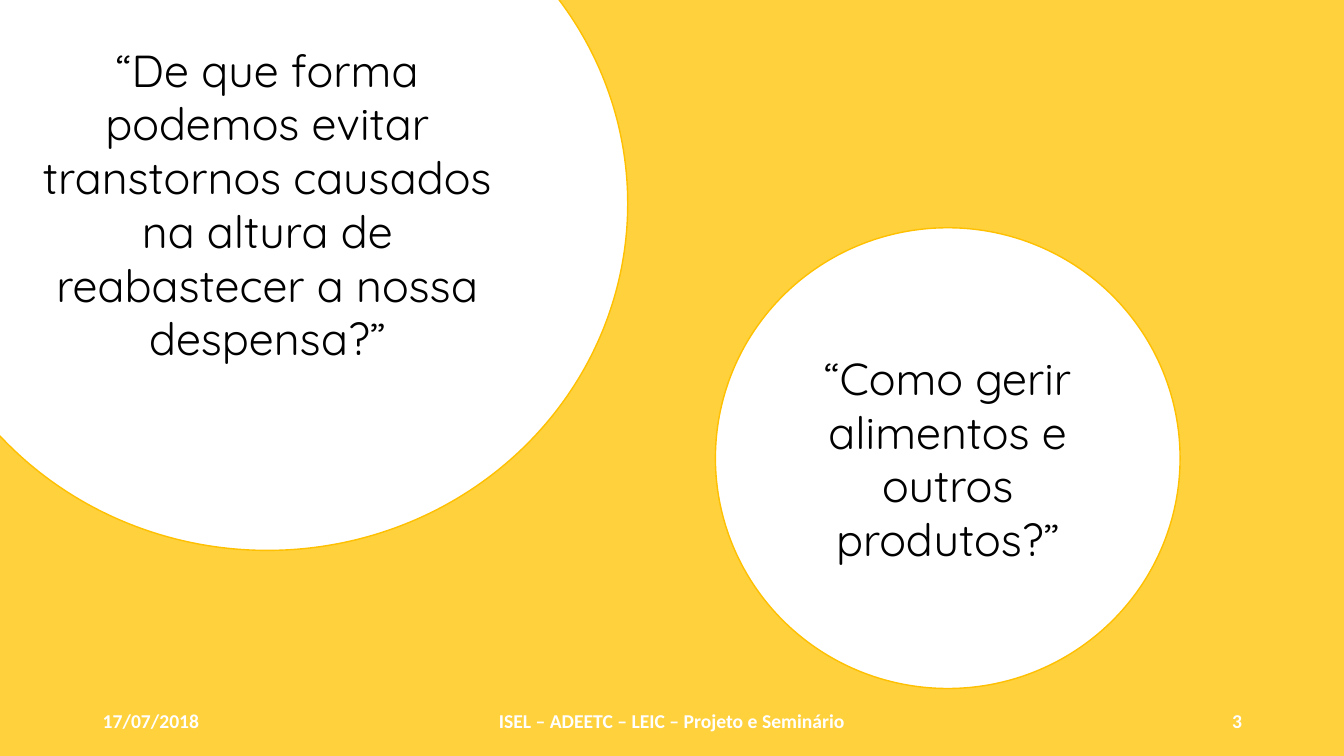
from pptx import Presentation
from pptx.dml.color import RGBColor
from pptx.enum.shapes import MSO_SHAPE as Shape
from pptx.enum.text import MSO_ANCHOR as Anchor, PP_ALIGN as Align
from pptx.util import Cm, Pt

YELLOW, AMBER, WHITE, BLACK = "FFD13D", "FFC000", "FFFFFF", "000000"
QUESTION_FONT = {"name": "Quicksand", "size": Pt(32), "bold": False}
FOOTER_FONT = {"name": "Calibri", "size": Pt(14), "bold": True}
FOOTER_TOP, FOOTER_HEIGHT = 17.65, 1.02

QUESTIONS = [
    ("“De que forma podemos evitar transtornos causados na altura de "
     "reabastecer a nossa despensa?”", (-2.34, -3.61, 18.16, 17.48)),
    ("“Como gerir alimentos e outros produtos?”", (18.03, 5.74, 11.71, 11.61)),
]
FOOTERS = [
    ("17/07/2018", 2.34, 7.62, Align.LEFT),
    ("ISEL – ADEETC – LEIC – Projeto e Seminário", 11.22, 11.43, Align.CENTER),
    ("3", 23.93, 7.62, Align.RIGHT),
]


def paint(color_format, value):
    """Set a colour from a hex string."""
    color_format.rgb = RGBColor.from_string(value)


def write_text(shape, text, font_values, color, alignment):
    """Write one wrapped, vertically centred paragraph in a shape."""
    frame = shape.text_frame
    frame.word_wrap = True
    frame.vertical_anchor = Anchor.MIDDLE
    paragraph = frame.paragraphs[0]
    paragraph.alignment = alignment
    run = paragraph.add_run()
    run.text = text
    for name, value in font_values.items():
        setattr(run.font, name, value)
    paint(run.font.color, color)


def add_question(slide, text, box):
    """Add a white circle holding a question."""
    circle = slide.shapes.add_shape(Shape.OVAL, *map(Cm, box))
    circle.shadow.inherit = False
    circle.fill.solid()
    paint(circle.fill.fore_color, WHITE)
    paint(circle.line.color, AMBER)
    circle.line.width = Pt(1)
    write_text(circle, text, QUESTION_FONT, BLACK, Align.CENTER)


def add_footer(slide, text, left, width, alignment):
    """Add one text of the footer row."""
    box = slide.shapes.add_textbox(
        Cm(left), Cm(FOOTER_TOP), Cm(width), Cm(FOOTER_HEIGHT))
    write_text(box, text, FOOTER_FONT, WHITE, alignment)


def main():
    """Build and save the slide."""
    presentation = Presentation()
    presentation.slide_width = Cm(33.87)
    presentation.slide_height = Cm(19.05)
    slide = presentation.slides.add_slide(presentation.slide_layouts[6])
    background = slide.background.fill
    background.solid()
    paint(background.fore_color, YELLOW)
    for text, box in QUESTIONS:
        add_question(slide, text, box)
    for footer in FOOTERS:
        add_footer(slide, *footer)
    presentation.save("out.pptx")


if __name__ == "__main__":
    main()
